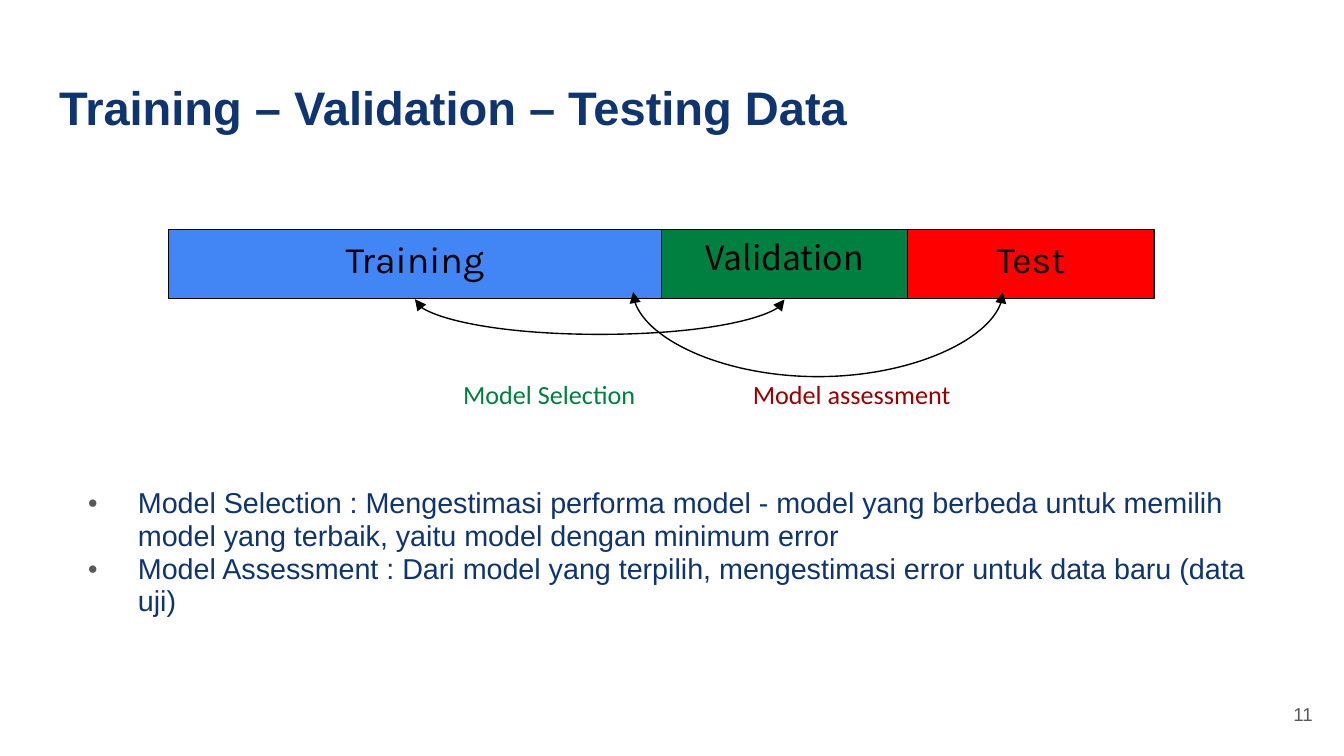
"""Build a slide on splitting data into training, validation and test sets."""
from lxml import etree
from pptx import Presentation
from pptx import util as u
from pptx.dml.color import RGBColor
from pptx.enum import shapes, text
from pptx.oxml import ns

NAVY = RGBColor(0x0F, 0x35, 0x70)
GRAY = RGBColor(0x59, 0x59, 0x59)
BLACK = RGBColor(0, 0, 0)
BLUE = RGBColor(0x42, 0x85, 0xF4)
GREEN = RGBColor(0, 0x80, 0x40)
RED = RGBColor(0xFF, 0, 0)
DARK_RED = RGBColor(0x99, 0, 0)
LEFT, CENTER, RIGHT = text.PP_ALIGN.LEFT, text.PP_ALIGN.CENTER, text.PP_ALIGN.RIGHT
TOP, MIDDLE = text.MSO_ANCHOR.TOP, text.MSO_ANCHOR.MIDDLE

TITLE = "Training – Validation – Testing Data"
PAGE_NUMBER = "11"
BAR_LEFT, BAR_TOP, BAR_HEIGHT, BAR_UNIT = 90.3, 123.1, 36.7, 132
SEGMENTS = [
    ("Training", 2, BLUE, "Karla", 20),
    ("Validation", 1, GREEN, "Noto Sans CJK JP", 18),
    ("Test", 1, RED, "Karla", 20),
]
LABELS = [
    ("Model Selection", 222.3, 144, GREEN),
    ("Model assessment", 366.3, 180, DARK_RED),
]
ARC_SPAN, ARC_THICKNESS = 198, 0.1
ARCS = [(222.3, 160.4, 16.6), (339.2, 156.5, 40)]
BULLETS = [
    "Model Selection : Mengestimasi performa model - model yang berbeda untuk memilih "
    "model yang terbaik, yaitu model dengan minimum error",
    "Model Assessment : Dari model yang terpilih, mengestimasi error untuk data baru (data uji)",
]


def add_element(parent, tag, **attributes):
    return etree.SubElement(parent, ns.qn(tag), attributes)


def place(box, left, top, width, height):
    for name, value in dict(left=left, top=top, width=width, height=height).items():
        setattr(box, name, u.Pt(value))


def write(box, lines, size, color, font="Arial", bold=False, align=LEFT,
          anchor=TOP, inset=7.2, bulleted=False):
    frame = box.text_frame
    frame_format = dict(
        word_wrap=True, auto_size=text.MSO_AUTO_SIZE.NONE, vertical_anchor=anchor,
        margin_left=u.Pt(7.2), margin_right=u.Pt(7.2),
        margin_top=u.Pt(inset), margin_bottom=u.Pt(inset))
    for name, value in frame_format.items():
        setattr(frame, name, value)
    for index, line in enumerate(lines):
        para = frame.add_paragraph() if index else frame.paragraphs[0]
        para.alignment = align
        if bulleted:
            add_bullet(para)
        span = para.add_run()
        span.text = line
        for name, value in dict(name=font, size=u.Pt(size), bold=bold).items():
            setattr(span.font, name, value)
        span.font.color.rgb = color


def add_bullet(para):
    para.line_spacing = 0.95
    properties = para._p.get_or_add_pPr()
    properties.set("marL", str(u.Pt(36)))
    properties.set("indent", str(u.Pt(-27)))
    color = add_element(properties, "a:buClr")
    add_element(color, "a:srgbClr", val=str(GRAY))
    add_element(properties, "a:buSzPct", val="60000")
    add_element(properties, "a:buFont", typeface="Arial")
    add_element(properties, "a:buChar", char="●")


def add_text(page, area, lines, size, color, **options):
    box = page.shapes.add_textbox(*map(u.Pt, area))
    write(box, lines, size, color, **options)


def add_arc(page, left, top, depth):
    middle = left + ARC_SPAN / 2
    ends = (middle - ARC_THICKNESS / 2, top + ARC_SPAN / 2,
            middle + ARC_THICKNESS / 2, top - ARC_SPAN / 2)
    arc = page.shapes.add_connector(shapes.MSO_CONNECTOR.CURVE, *map(u.Pt, ends))
    arc.line.color.rgb = BLACK
    arc.line.width = u.Pt(0.75)
    properties = arc._element.spPr
    properties.find(ns.qn("a:xfrm")).set("rot", str(90 * 60000))
    guides = properties.find(ns.qn("a:prstGeom")).get_or_add_avLst()
    bend = round(depth / ARC_THICKNESS * 100000)
    add_element(guides, "a:gd", name="adj1", fmla=f"val {bend}")
    for end in ("a:headEnd", "a:tailEnd"):
        add_element(arc.line._get_or_add_ln(), end, type="triangle")
    add_element(properties, "a:effectLst")


def main():
    deck = Presentation()
    deck.slide_width, deck.slide_height = u.Pt(720), u.Pt(405)
    page = deck.slides.add_slide(deck.slide_layouts[5])
    title = page.shapes.title
    place(title, 24.5, 35, 671, 45.4)
    write(title, [TITLE], 25.2, NAVY, bold=True)
    add_text(page, (667.2, 367.2, 43.2, 31), [PAGE_NUMBER], 10, GRAY,
             align=RIGHT, anchor=MIDDLE)

    left = BAR_LEFT
    for name, share, color, font, size in SEGMENTS:
        area = (left, BAR_TOP, share * BAR_UNIT, BAR_HEIGHT)
        segment = page.shapes.add_shape(shapes.MSO_SHAPE.RECTANGLE, *map(u.Pt, area))
        segment.shadow.inherit = False
        segment.fill.solid()
        segment.fill.fore_color.rgb = color
        segment.line.color.rgb = BLACK
        segment.line.width = u.Pt(0.75)
        write(segment, [name], size, BLACK, font=font, align=CENTER, inset=3.6)
        left += share * BAR_UNIT

    for label, left, width, color in LABELS:
        add_text(page, (left, 190.1, width, 41.8), [label], 14, color,
                 font="Calibri", align=CENTER, anchor=MIDDLE, inset=3.6)
    for arc in ARCS:
        add_arc(page, *arc)
    add_text(page, (30.8, 253.9, 646.6, 92.9), BULLETS, 15.4, NAVY, bulleted=True)
    deck.save("out.pptx")


if __name__ == "__main__":
    main()
